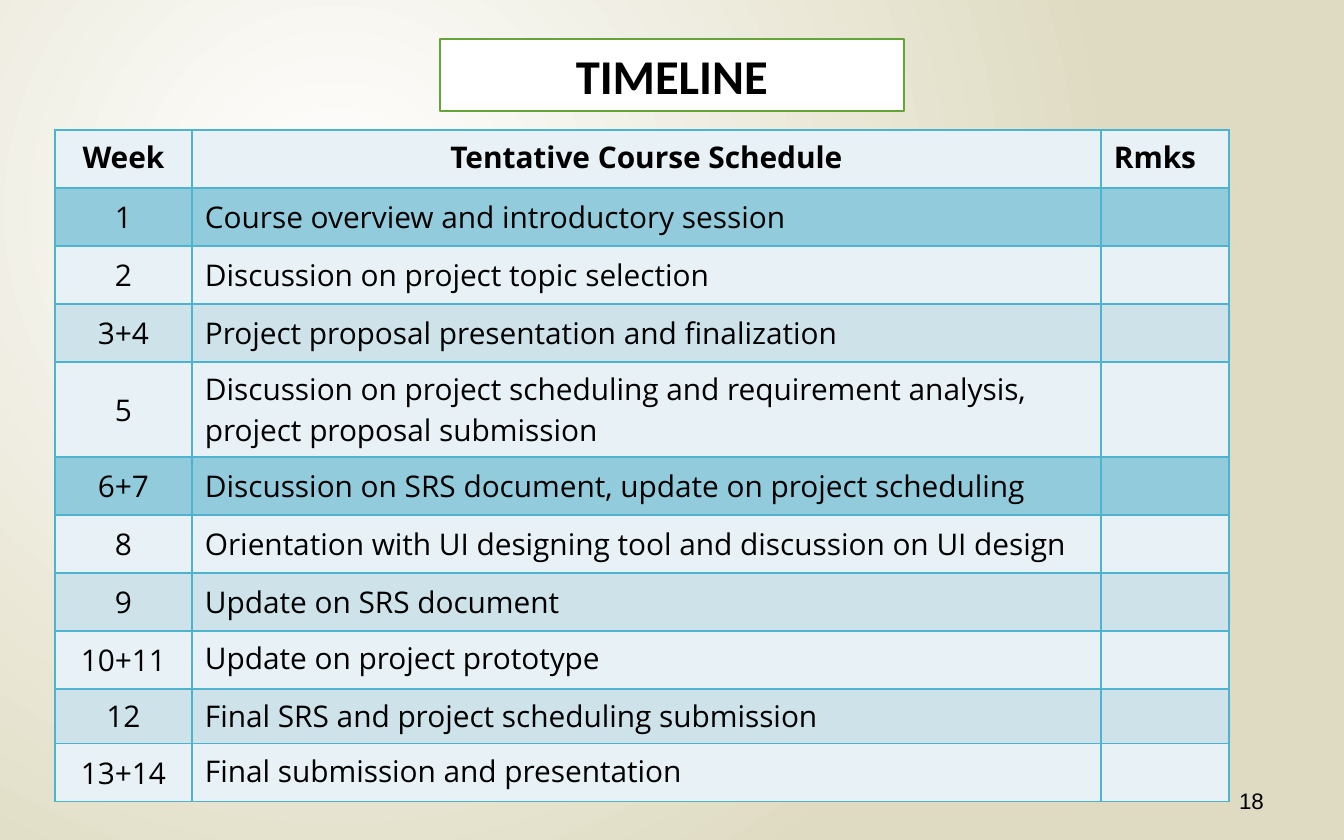
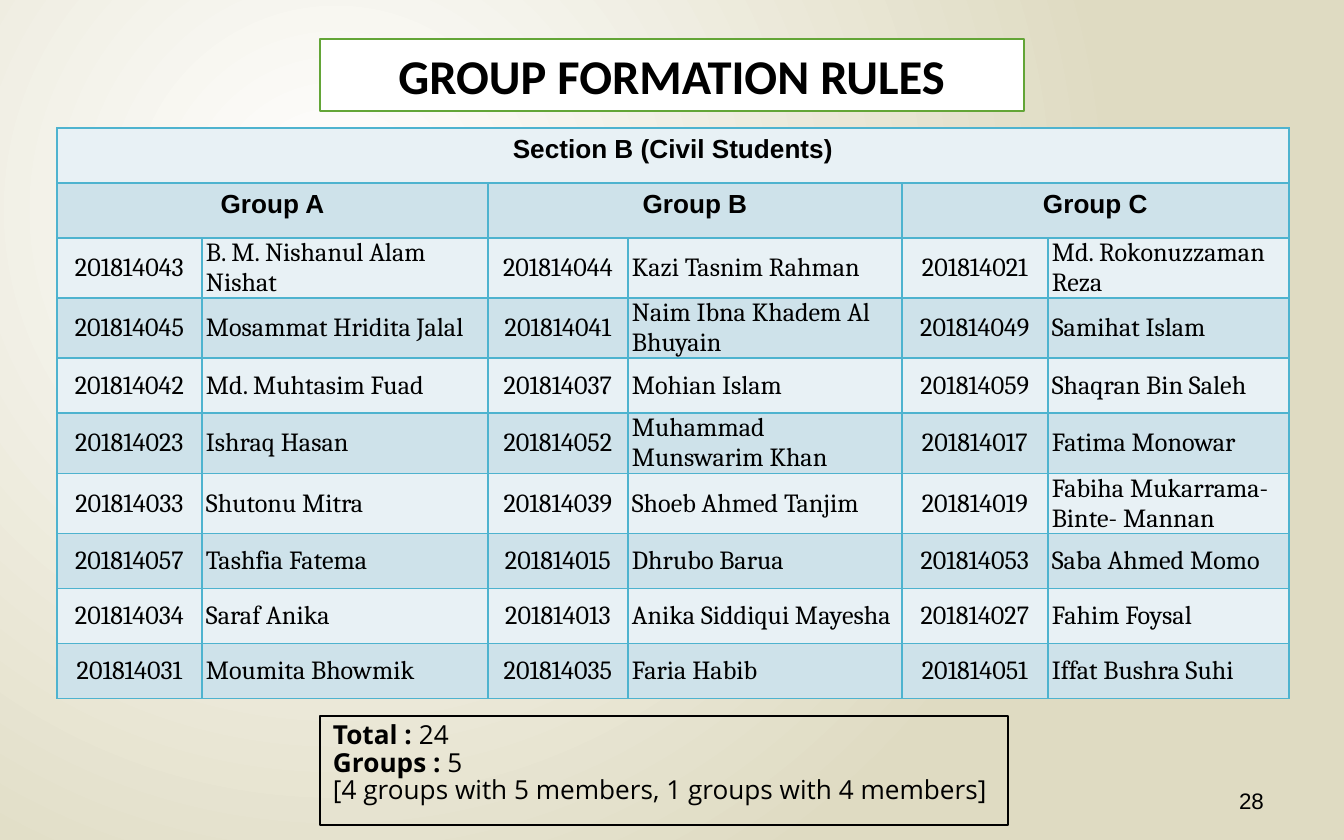
from lxml.etree import SubElement
from pptx import Presentation
from pptx.dml.color import RGBColor
from pptx.enum.text import MSO_ANCHOR as Anchor, MSO_AUTO_SIZE as AutoSize, PP_ALIGN as Align
from pptx.oxml import parse_xml
from pptx.oxml.ns import nsdecls, qn
from pptx.util import Pt

EMU_PER_INCH, PX_PER_INCH = 914400, 134.4
COLORS = {
    "text": "000000", "panel": "FFFFFF", "sand": "DFDBC2", "title_line": "63A537",
    "grid": "4EB3CF", "light": "E8F1F5", "band": "CEE2EA", "milestone": "92CCDC",
}
INSETS = (13, 7, 13, 7)
TIGHT = (4, 0, 4, 0)

SCHEDULE = [
    ("1", "Course overview and introductory session"),
    ("2", "Discussion on project topic selection"),
    ("3+4", "Project proposal presentation and finalization"),
    ("5", "Discussion on project scheduling and requirement analysis, project proposal submission"),
    ("6+7", "Discussion on SRS document, update on project scheduling"),
    ("8", "Orientation with UI designing tool and discussion on UI design"),
    ("9", "Update on SRS document"),
    ("10+11", "Update on project prototype"),
    ("12", "Final SRS and project scheduling submission"),
    ("13+14", "Final submission and presentation"),
]
MILESTONES = {"1", "6+7"}
TOP_ALIGNED = {"10+11", "12", "13+14"}

GROUPS = {
    "Group A": [
        ("201814043", "B. M. Nishanul Alam Nishat"), ("201814045", "Mosammat Hridita Jalal"),
        ("201814042", "Md. Muhtasim Fuad"), ("201814023", "Ishraq Hasan"),
        ("201814033", "Shutonu Mitra"), ("201814057", "Tashfia Fatema"),
        ("201814034", "Saraf Anika"), ("201814031", "Moumita Bhowmik"),
    ],
    "Group B": [
        ("201814044", "Kazi Tasnim Rahman"), ("201814041", "Naim Ibna Khadem Al Bhuyain"),
        ("201814037", "Mohian Islam"), ("201814052", "Muhammad Munswarim Khan"),
        ("201814039", "Shoeb Ahmed Tanjim"), ("201814015", "Dhrubo Barua"),
        ("201814013", "Anika Siddiqui Mayesha"), ("201814035", "Faria Habib"),
    ],
    "Group C": [
        ("201814021", "Md. Rokonuzzaman Reza"), ("201814049", "Samihat Islam"),
        ("201814059", "Shaqran Bin Saleh"), ("201814017", "Fatima Monowar"),
        ("201814019", "Fabiha Mukarrama-Binte- Mannan"), ("201814053", "Saba Ahmed Momo"),
        ("201814027", "Fahim Foysal"), ("201814051", "Iffat Bushra Suhi"),
    ],
}
SUMMARY = [
    ("Total : ", "24"),
    ("Groups : ", "5"),
    ("", "[4 groups with 5 members, 1 groups with 4 members]"),
]


def px(length):
    return round(length * EMU_PER_INCH / PX_PER_INCH)


def rgb(name):
    return RGBColor.from_string(COLORS[name])


def add_text(para, text, size=16, font="Open Sans", bold=False, align=Align.LEFT):
    para.alignment = align
    span = para.add_run()
    span.text = text
    span.font.size = Pt(size)
    span.font.name = font
    span.font.bold = bold
    span.font.color.rgb = rgb("text")


def set_insets(target, insets):
    target.margin_left, target.margin_top, target.margin_right, target.margin_bottom = map(px, insets)


def set_frame(shape, anchor=Anchor.TOP):
    frame = shape.text_frame
    frame.word_wrap = True
    frame.auto_size = AutoSize.NONE
    frame.vertical_anchor = anchor
    set_insets(frame, INSETS)
    return frame


def set_outline(shape, color, width):
    shape.line.color.rgb = rgb(color)
    shape.line.width = Pt(width)


def set_background(master):
    content = master._element.cSld
    content.remove(content.bg)
    content.insert(0, parse_xml(
        f'<p:bg {nsdecls("p", "a")}><p:bgPr><a:gradFill rotWithShape="1"><a:gsLst>'
        f'<a:gs pos="0"><a:srgbClr val="{COLORS["panel"]}"/></a:gs>'
        f'<a:gs pos="100000"><a:srgbClr val="{COLORS["sand"]}"/></a:gs></a:gsLst>'
        '<a:path path="circle"><a:fillToRect l="50000" t="50000" r="100000" b="100000"/></a:path>'
        '</a:gradFill><a:effectLst/></p:bgPr></p:bg>'))


def add_page(deck, title, title_box, number):
    page = deck.slides.add_slide(deck.slide_layouts.get_by_name("Title Only"))
    shape = page.shapes.title
    shape.left, shape.top, shape.width, shape.height = map(px, title_box)
    shape.fill.solid()
    shape.fill.fore_color.rgb = rgb("panel")
    set_outline(shape, "title_line", 1.25)
    add_text(set_frame(shape).paragraphs[0], title, size=26, font="Calibri", bold=True, align=Align.CENTER)
    footer = page.shapes.add_textbox(*map(px, (964, 778, 313, 45)))
    add_text(set_frame(footer, Anchor.MIDDLE).paragraphs[0], number, size=12, font="Arial", align=Align.RIGHT)
    return page


def add_grid(page, box, widths, heights):
    holder = page.shapes.add_table(len(heights), len(widths), *map(px, box))
    table = holder.table
    table.first_row = table.horz_banding = False
    for column, width in zip(table.columns, widths):
        column.width = px(width)
    for row, height in zip(table.rows, heights):
        row.height = px(height)
    holder.height = px(box[3])
    return table


def fill_cell(cell, text, fill, anchor=Anchor.MIDDLE, insets=INSETS, **style):
    properties = cell._tc.get_or_add_tcPr()
    for side in "LRTB":
        line = SubElement(properties, qn(f"a:ln{side}"), w=str(Pt(1)))
        SubElement(SubElement(line, qn("a:solidFill")), qn("a:srgbClr"), val=COLORS["grid"])
    cell.fill.solid()
    cell.fill.fore_color.rgb = rgb(fill)
    cell.vertical_anchor = anchor
    set_insets(cell, insets)
    para = cell.text_frame.paragraphs[0]
    if text:
        add_text(para, text, **style)
    else:
        SubElement(para._p, qn("a:endParaRPr"), sz="1600")


def add_schedule(page, box):
    heights = [52 if week == "12" else 58 for week, _ in SCHEDULE]
    table = add_grid(page, box, (137, 909, 128), [58] + heights)
    headings = ("Week", "Tentative Course Schedule", "Rmks")
    for column, heading in enumerate(headings):
        align = Align.LEFT if heading == "Rmks" else Align.CENTER
        fill_cell(table.cell(0, column), heading, "light", Anchor.TOP, bold=True, align=align)
    for row, (week, topic) in enumerate(SCHEDULE, 1):
        fill = "milestone" if week in MILESTONES else "band" if row % 2 else "light"
        anchor = Anchor.TOP if week in TOP_ALIGNED else Anchor.MIDDLE
        fill_cell(table.cell(row, 0), week, fill, align=Align.CENTER)
        fill_cell(table.cell(row, 1), topic, fill, anchor)
        fill_cell(table.cell(row, 2), "", fill)


def add_roster(page, box):
    table = add_grid(page, box, (145, 286, 140, 274, 146, 241), [55] * 10)
    heading = dict(anchor=Anchor.TOP, size=14, font="Arial", bold=True, align=Align.CENTER)
    member = dict(insets=TIGHT, size=14, font="Cambria")
    table.cell(0, 0).merge(table.cell(0, 5))
    fill_cell(table.cell(0, 0), "Section B (Civil Students)", "light", **heading)
    for index, (group, members) in enumerate(GROUPS.items()):
        column = 2 * index
        table.cell(1, column).merge(table.cell(1, column + 1))
        fill_cell(table.cell(1, column), group, "band", **heading)
        for row, (student, name) in enumerate(members, 2):
            fill = "band" if row % 2 else "light"
            fill_cell(table.cell(row, column), student, fill, align=Align.CENTER, **member)
            fill_cell(table.cell(row, column + 1), name, fill, **member)


def add_summary(page, box):
    shape = page.shapes.add_textbox(*map(px, box))
    set_outline(shape, "text", 1)
    frame = set_frame(shape)
    for index, (label, value) in enumerate(SUMMARY):
        para = frame.add_paragraph() if index else frame.paragraphs[0]
        para.line_spacing = 0.87
        if label:
            add_text(para, label, size=14, bold=True, align=Align.JUSTIFY)
        add_text(para, value, size=14, align=Align.JUSTIFY)


def main():
    deck = Presentation()
    deck.slide_width, deck.slide_height = px(1344), px(840)
    set_background(deck.slide_master)
    timeline = add_page(deck, "TIMELINE", (440, 39, 464, 72), "18")
    add_schedule(timeline, (55, 130, 1174, 660))
    rules = add_page(deck, "GROUP FORMATION RULES", (320, 39, 704, 72), "28")
    add_roster(rules, (57, 128, 1232, 578))
    add_summary(rules, (320, 716, 688, 109))
    deck.save("out.pptx")


if __name__ == "__main__":
    main()
